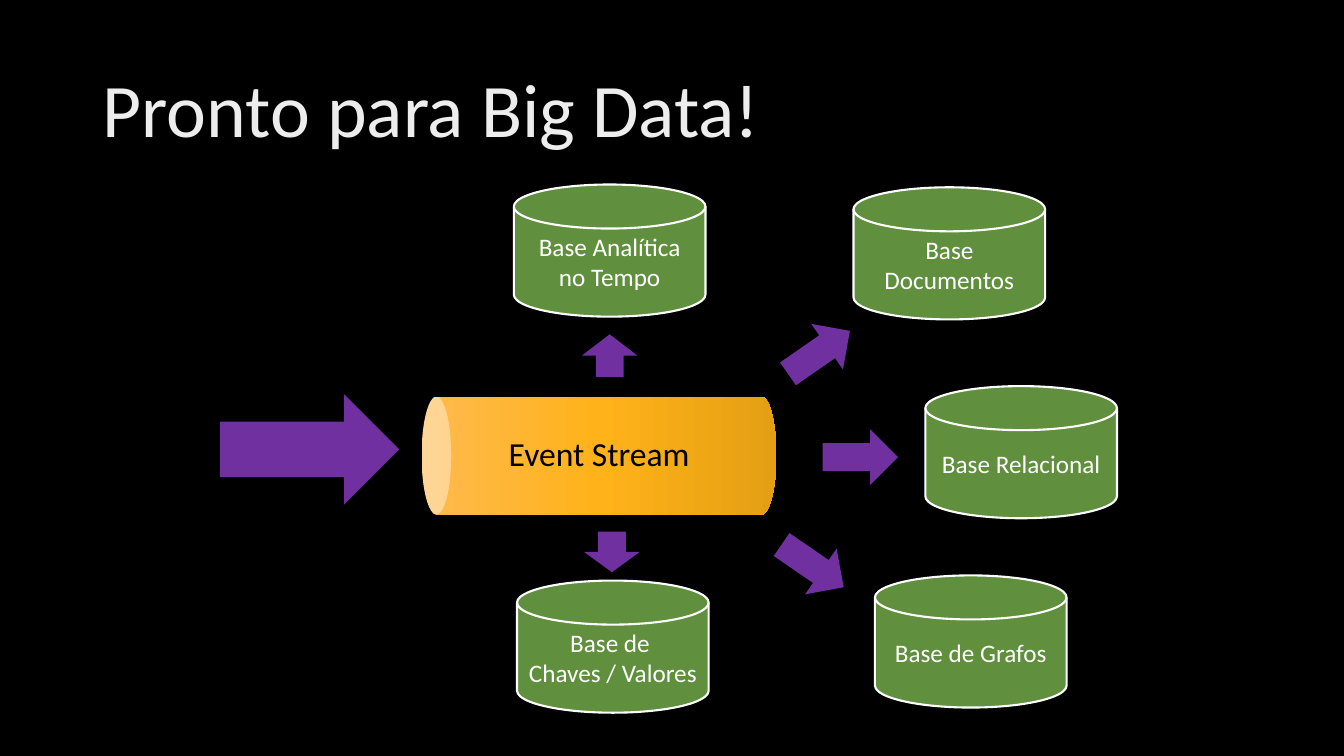
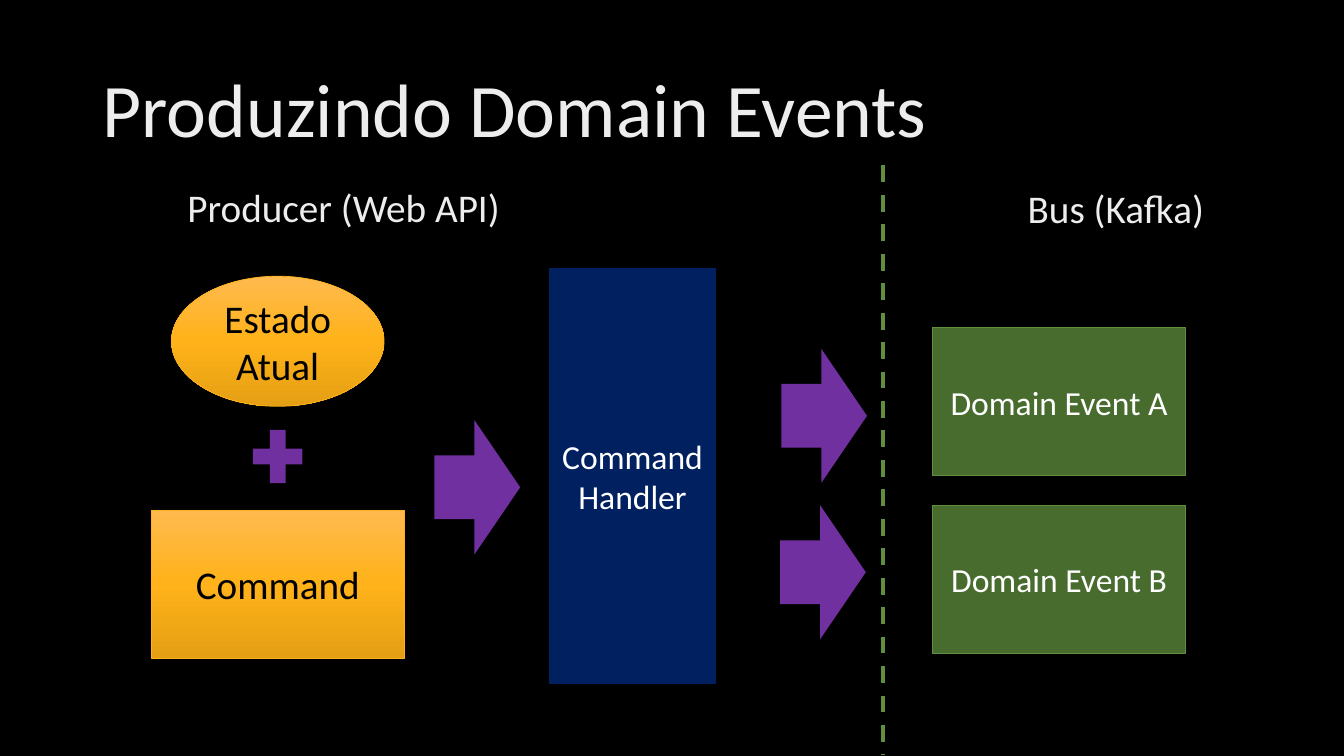
from copy import deepcopy
from dataclasses import dataclass
from typing import Optional

from pptx import Presentation
from pptx.dml.color import RGBColor as Rgb
from pptx.enum.dml import MSO_LINE as Dash
from pptx.enum.shapes import MSO_CONNECTOR as Wire, MSO_SHAPE as Geo
from pptx.enum.text import MSO_ANCHOR as Anchor, PP_ALIGN as Align
from pptx.oxml.ns import qn
from pptx.oxml.xmlchemy import OxmlElement
from pptx.util import Cm, Pt


# Theme
@dataclass(frozen=True)
class Theme:
    font: str = "Calibri"
    back: str = "000000"
    pale: str = "EDEDED"
    white: str = "FFFFFF"
    black: str = "000000"
    purple: str = "7030A0"
    green: str = "608F3D"
    moss: str = "486B2E"
    navy: str = "002060"
    amber: str = "FCB11C"
    glow: tuple = ((0, "FFBA4F"), (0.5, "FFB219"), (1, "E59F14"))
    title: int = 54
    head: int = 28
    body: int = 24
    small: int = 18


T = Theme()


@dataclass(frozen=True)
class Style:
    fill: Optional[str]  # None means the amber gradient
    line: Optional[str] = None
    width: float = 0.5
    ink: str = T.white
    size: int = T.body


DISK = Style(T.green, T.white, 1.5, size=T.small)
ARROW = Style(T.purple)
TUBE = Style(None)
INPUT = Style(None, T.amber, ink=T.black, size=T.head)
EVENT = Style(T.moss, T.green)
HANDLER = Style(T.navy, T.black)


@dataclass(frozen=True)
class Item:
    geo: Geo
    x: float
    y: float
    w: float
    h: float
    style: Style
    text: str = ""
    turn: float = 0
    adj: tuple = ()


# Drawing helpers
def write(shape, text: str, size: int, ink: str, align=Align.CENTER,
          space: Optional[float] = None) -> None:
    frame = shape.text_frame
    frame.word_wrap = True
    frame.vertical_anchor = Anchor.MIDDLE
    par = frame.paragraphs[0]
    par.text = text
    par.alignment = align
    if space:
        par.line_spacing = space
    par.font.name = T.font
    par.font.size = Pt(size)
    par.font.color.rgb = Rgb.from_string(ink)


def shade(shape) -> None:
    """Fill from top to bottom with the amber stops."""
    fill = shape.fill
    fill.gradient()
    fill.gradient_angle = 270
    stops = shape._element.spPr.find(qn("a:gradFill")).find(qn("a:gsLst"))
    stops.append(deepcopy(stops[0]))
    for stop, (place, tint) in zip(fill.gradient_stops, T.glow):
        stop.position = place
        stop.color.rgb = Rgb.from_string(tint)


def draw(slide, item: Item) -> None:
    style = item.style
    shape = slide.shapes.add_shape(
        item.geo, Cm(item.x), Cm(item.y), Cm(item.w), Cm(item.h))
    shape.shadow.inherit = False
    shape.rotation = item.turn
    for i, value in enumerate(item.adj):
        shape.adjustments[i] = value
    if style.fill:
        shape.fill.solid()
        shape.fill.fore_color.rgb = Rgb.from_string(style.fill)
    else:
        shade(shape)
    if style.line:
        shape.line.color.rgb = Rgb.from_string(style.line)
        shape.line.width = Pt(style.width)
    else:
        shape.line.fill.background()
    if item.text:
        write(shape, item.text, style.size, style.ink)


def label(slide, text: str, x: float, y: float, w: float, h: float = 2.24,
          size: int = T.head, ink: str = T.pale, align=Align.CENTER) -> None:
    box = slide.shapes.add_textbox(Cm(x), Cm(y), Cm(w), Cm(h))
    write(box, text, size, ink, align, 0.9)


def divide(slide, x: float, top: float, end: float) -> None:
    line = slide.shapes.add_connector(
        Wire.STRAIGHT, Cm(x), Cm(top), Cm(x), Cm(end))
    line.line.color.rgb = Rgb.from_string(T.green)
    line.line.width = Pt(3)
    line.line.dash_style = Dash.DASH
    line._element.spPr.append(OxmlElement("a:effectLst"))


def start(deck, title: str):
    slide = deck.slides.add_slide(deck.slide_layouts[6])
    slide.background.fill.solid()
    slide.background.fill.fore_color.rgb = Rgb.from_string(T.back)
    label(slide, title, 2.34, 1.02, 29.21, 3.68, T.title, align=Align.LEFT)
    return slide


# Slide 1: the stream feeds each database
def stream(deck) -> None:
    slide = start(deck, "Pronto para Big Data!")
    draw(slide, Item(Geo.CAN, 13.61, 7.01, 2.97, 8.94, TUBE, turn=270))
    label(slide, "Event Stream", 11.61, 10.36, 6.98,
          size=T.body, ink=T.black)
    bases = (
        ("Base Relacional", 23.32, 9.73),
        ("Base de Grafos", 22.05, 14.5),
        ("Base de \vChaves / Valores", 13.03, 14.63),
        ("Base Analítica no Tempo", 12.95, 4.65),
        ("Base Documentos", 21.51, 4.72),
    )
    for text, x, y in bases:
        draw(slide, Item(Geo.FLOWCHART_MAGNETIC_DISK, x, y, 4.83, 3.33,
                         DISK, text))
    arrows = (
        (19.53, 13.56, 1.9, 1.4, 34.5),
        (19.69, 8.18, 1.9, 1.4, 325.2),
        (14.83, 8.26, 1.07, 1.4, 270),
        (14.91, 13.21, 1.02, 1.4, 90),
        (20.73, 10.82, 1.9, 1.4, 0),
        (5.54, 9.93, 4.52, 2.79, 0),
    )
    for *box, turn in arrows:
        draw(slide, Item(Geo.RIGHT_ARROW, *box, ARROW, turn=turn))


# Slide 2: from command to domain events
def events(deck) -> None:
    slide = start(deck, "Produzindo Domain Events")
    wide, high = 6.38, 3.73
    parts = [
        Item(Geo.RECTANGLE, 13.82, 6.73, 4.24, 10.52, HANDLER,
             "Command Handler"),
        Item(Geo.OVAL, 4.32, 6.96, 5.36, 3.28, INPUT, "Estado Atual"),
        Item(Geo.RECTANGLE, 3.81, 12.85, wide, high, INPUT, "Command"),
        Item(Geo.MATH_PLUS, 6.15, 10.59, 1.7, 1.83, ARROW),
    ]
    parts += [Item(Geo.RECTANGLE, 23.5, 8.26 + i * 4.47, wide, high, EVENT,
                   f"Domain Event {name}") for i, name in enumerate("AB")]
    parts += [Item(Geo.RIGHT_ARROW, x, y, 2.16, 3.38, ARROW,
                   adj=(0.475, 0.533))
              for x, y in ((10.95, 10.59), (19.69, 8.79), (19.66, 12.73))]
    for part in parts:
        draw(slide, part)
    divide(slide, 22.25, 4.17, 19.02)
    label(slide, "Bus (Kafka)", 22.94, 4.19, 10.36)
    label(slide, "Producer (Web API)", 3.48, 4.17, 10.36)


def main() -> None:
    deck = Presentation()
    deck.slide_width, deck.slide_height = Cm(33.87), Cm(19.05)
    stream(deck)
    events(deck)
    deck.save("out.pptx")


if __name__ == "__main__":
    main()
